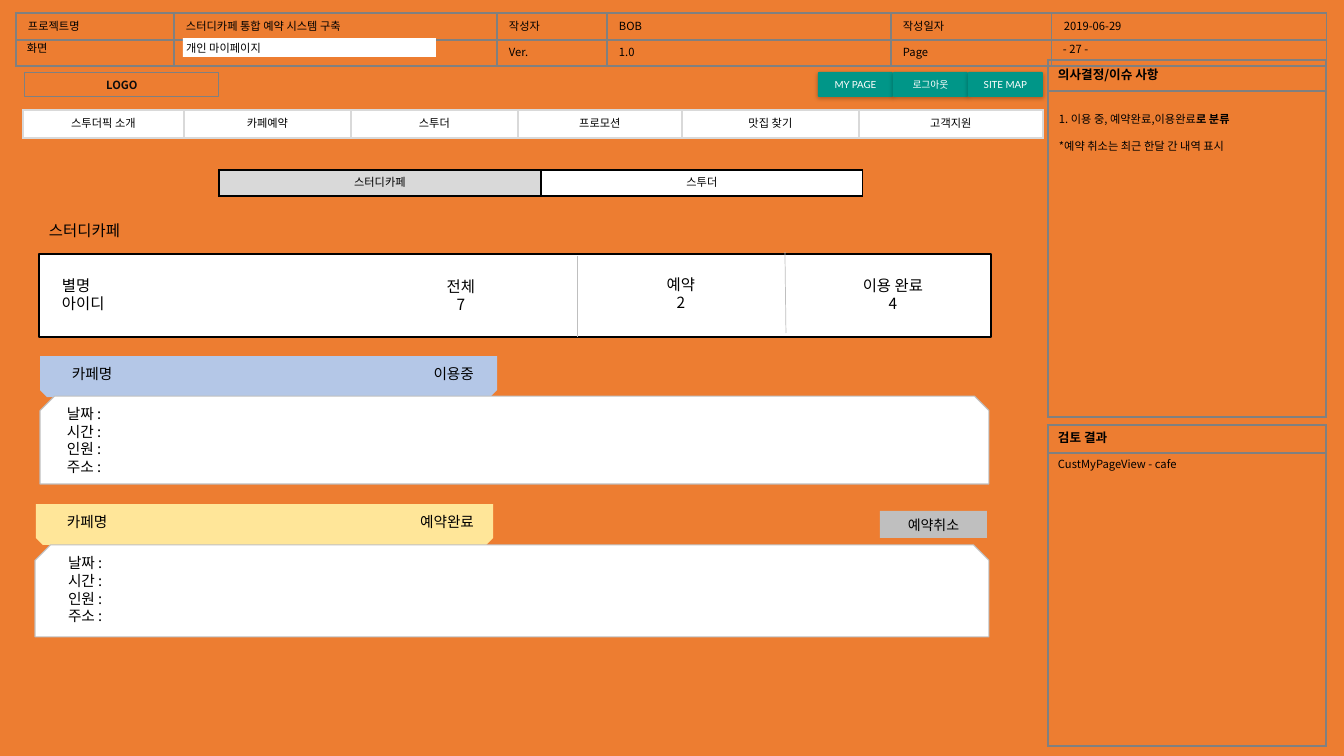
from dataclasses import dataclass

from lxml import etree
from pptx import Presentation
from pptx.dml.color import RGBColor
from pptx.enum.shapes import MSO_CONNECTOR, MSO_SHAPE
from pptx.enum.text import MSO_ANCHOR, MSO_AUTO_SIZE, PP_ALIGN
from pptx.oxml.ns import qn
from pptx.util import Emu, Pt

RECT = MSO_SHAPE.RECTANGLE
ROUNDED = MSO_SHAPE.ROUNDED_RECTANGLE
SNIPPED = MSO_SHAPE.SNIP_2_SAME_RECTANGLE
STRAIGHT = MSO_CONNECTOR.STRAIGHT
LEFT, CENTER, RIGHT = PP_ALIGN.LEFT, PP_ALIGN.CENTER, PP_ALIGN.RIGHT
TOP, MIDDLE = MSO_ANCHOR.TOP, MSO_ANCHOR.MIDDLE
NO_AUTOFIT = MSO_AUTO_SIZE.NONE
EMU_PER_PX = 12192000 / 1344


@dataclass(frozen=True)
class Theme:
    font: str = "Noto Sans CJK KR"
    button_font: str = "Lato"
    background: str = "ED7D31"
    ink: str = "000000"
    logo_ink: str = "0D0D0D"
    white: str = "FFFFFF"
    frame: str = "808080"
    silver: str = "BFBFBF"
    pale: str = "D9D9D9"
    teal: str = "009688"
    blue: str = "B4C7E7"
    yellow: str = "FFE699"
    tiny: float = 7
    small: float = 8
    heading: float = 9
    action: float = 10
    card: float = 10.5
    large: float = 11


T = Theme()


def px(n):
    return Emu(round(n * EMU_PER_PX))


def rgb(code):
    return RGBColor.from_string(code)


def write(tf, lines, size=T.small, color=T.ink, font=T.font, bold=False,
          align=LEFT, gap=0):
    for i, line in enumerate(lines):
        p = tf.paragraphs[0] if i == 0 else tf.add_paragraph()
        p.alignment = align
        p.line_spacing = Pt(size * 1.2)
        p.space_before = Pt(gap if i else 0)
        for text, strong in [(line, bold)] if isinstance(line, str) else line:
            r = p.add_run()
            r.text = text
            r.font.name = font
            r.font.size = Pt(size)
            r.font.bold = strong
            r.font.color.rgb = rgb(color)
            ea = etree.SubElement(r.font.fill._xPr, qn("a:ea"))
            ea.set("typeface", T.font)


def frame(tf, anchor=TOP, inset=(10, 5)):
    tf.word_wrap = True
    tf.auto_size = NO_AUTOFIT
    tf.vertical_anchor = anchor
    tf.margin_left = tf.margin_right = px(inset[0])
    tf.margin_top = tf.margin_bottom = px(inset[1])


def add_text(s, box, lines, **fmt):
    sp = s.shapes.add_textbox(*map(px, box))
    frame(sp.text_frame)
    write(sp.text_frame, lines, **fmt)


def add_box(s, kind, box, fill=None, line=None, width=1, lines=(), **fmt):
    sp = s.shapes.add_shape(kind, *map(px, box))
    sp.shadow.inherit = False
    if fill:
        sp.fill.solid()
        sp.fill.fore_color.rgb = rgb(fill)
    else:
        sp.fill.background()
    if line:
        sp.line.color.rgb = rgb(line)
        sp.line.width = Pt(width)
    else:
        sp.line.fill.background()
    if lines:
        frame(sp.text_frame, MIDDLE)
        write(sp.text_frame, lines, align=CENTER, **fmt)
    return sp


def add_divider(s, x1, y1, x2, y2):
    c = s.shapes.add_connector(STRAIGHT, *map(px, (x1, y1, x2, y2)))
    c.line.color.rgb = rgb(T.silver)
    c.line.width = Pt(0.5)
    etree.SubElement(c.element.spPr, qn("a:effectLst"))


def border_cell(cell, color):
    tcPr = cell._tc.get_or_add_tcPr()
    for i, side in enumerate(("lnL", "lnR", "lnT", "lnB")):
        ln = etree.Element(qn("a:" + side), w=str(Pt(1)))
        fill = etree.SubElement(ln, qn("a:solidFill"))
        etree.SubElement(fill, qn("a:srgbClr"), val=color)
        tcPr.insert(i, ln)


def add_grid(s, x, y, cols, rows, texts, line, fills=(), inset=10,
             anchors=(MIDDLE, MIDDLE), bolds=(False, False), sizes=(T.small, T.small),
             align=LEFT):
    box = map(px, (x, y, sum(cols), sum(rows)))
    table = s.shapes.add_table(len(rows), len(cols), *box).table
    table.first_row = table.horz_banding = False
    for column, width in zip(table.columns, cols):
        column.width = px(width)
    for i, height in enumerate(rows):
        table.rows[i].height = px(height)
        for j, text in enumerate(texts[i]):
            cell = table.cell(i, j)
            if fills:
                cell.fill.solid()
                cell.fill.fore_color.rgb = rgb(fills[j])
            else:
                cell.fill.background()
            border_cell(cell, line)
            cell.vertical_anchor = anchors[i]
            cell.margin_left = cell.margin_right = px(inset)
            cell.margin_top = cell.margin_bottom = px(5)
            if text:
                write(cell.text_frame, [text], size=sizes[i], bold=bolds[i], align=align)
            else:
                p = cell.text_frame.paragraphs[0]
                etree.SubElement(p._p, qn("a:endParaRPr"), sz=str(T.small * 100))


def place(sp, box):
    sp.left, sp.top, sp.width, sp.height = map(px, box)


def add_title(s):
    sp = s.shapes.title
    place(sp, (183, 38, 253, 19))
    sp.fill.solid()
    sp.fill.fore_color.rgb = rgb(T.white)
    frame(sp.text_frame, MIDDLE, (3, 0))
    write(sp.text_frame, ["개인 마이페이지"])
    sp.element.getparent().append(sp.element)


def add_issues(s):
    sp = s.placeholders[1]
    place(sp, (1049, 107, 264, 240))
    frame(sp.text_frame)
    write(sp.text_frame, [
        [("1. 이용 중, 예약완료,이용완료", False), ("로 분류", True)],
        "*예약 취소는 최근 한달 간 내역 표시",
    ], gap=9.6)
    for p in sp.text_frame.paragraphs:
        pPr = p._p.get_or_add_pPr()
        pPr.set("marL", "0")
        pPr.set("indent", "0")
        etree.SubElement(pPr, qn("a:buNone"))


def add_button(s, x, label):
    sp = add_box(s, ROUNDED, (x, 72, 75, 25), T.teal, lines=[label], size=T.tiny,
                 color=T.white, font=T.button_font)
    sp.adjustments[0] = 0.05
    shadow = etree.SubElement(sp.element.spPr.find(qn("a:effectLst")), qn("a:outerShdw"),
                              blurRad=str(Pt(3)), dist=str(Pt(1)), dir="5400000")
    color = etree.SubElement(shadow, qn("a:srgbClr"), val="000000")
    etree.SubElement(color, qn("a:alpha"), val="25000")


def add_card(s, tab_x, tab_y, panel, fill, name_x, detail_x, status):
    tab = add_box(s, SNIPPED, (tab_x, tab_y, 457, 41), fill)
    tab.rotation = 180
    add_box(s, SNIPPED, panel, T.white, T.silver, 0.75)
    add_text(s, (name_x, tab_y + 4, 190, 29), ["카페명"], size=T.card)
    add_text(s, (detail_x, panel[1] + 4, 371, 82),
             ["날짜 :", "시간 :", "인원 :", "주소 :"], size=T.card)
    add_text(s, (294, tab_y + 4, 190, 29), [status], size=T.card, align=RIGHT)


def add_summary(s):
    add_box(s, RECT, (39, 254, 952, 83), T.white, T.ink)
    add_text(s, (39, 216, 275, 29), ["스터디카페"], size=T.large)
    add_text(s, (52, 271, 203, 47), ["별명", "아이디"], size=T.large)
    counts = [(390, 272, "전체", "7"), (610, 270, "예약", "2"), (822, 271, "이용 완료", "4")]
    for x, y, label, count in counts:
        add_text(s, (x, y, 142, 47), [label, count], size=T.large, align=CENTER)
    add_divider(s, 577, 256, 577, 337)
    add_divider(s, 785, 252, 786, 333)


def main():
    prs = Presentation()
    prs.slide_width, prs.slide_height = px(1344), px(756)
    s = prs.slides.add_slide(prs.slide_layouts[1])
    s.background.fill.solid()
    s.background.fill.fore_color.rgb = rgb(T.background)

    add_grid(s, 16, 13, [158, 323, 110, 284, 161, 275], [27, 26], [
        ["프로젝트명", "스터디카페 통합 예약 시스템 구축", "작성자", "BOB", "작성일자", "2019-06-29"],
        ["", "", "Ver.", "1.0", "Page", ""],
    ], T.frame, inset=12)
    add_title(s)
    add_text(s, (17, 36, 60, 24), ["화면"])
    add_text(s, (1053, 37, 108, 24), ["- 27 -"])

    panels = [(60, [31, 326], "의사결정/이슈 사항", ""),
              (425, [28, 293], "검토 결과", "CustMyPageView - cafe")]
    for y, rows, heading, body in panels:
        add_grid(s, 1048, y, [278], rows, [[heading], [body]], T.frame,
                 anchors=(MIDDLE, TOP), bolds=(True, False), sizes=(T.heading, T.small))
    add_issues(s)

    add_box(s, RECT, (25, 73, 194, 24), line=T.frame, width=0.75, lines=["LOGO"],
            color=T.logo_ink, bold=True)
    for i, label in enumerate(["MY PAGE", "로그아웃", "SITE MAP"]):
        add_button(s, 818 + 75 * i, label)
    menu = ["스투더픽 소개", "카페예약", "스투더", "프로모션", "맛집 찾기", "고객지원"]
    add_grid(s, 23, 110, [161, 167, 167, 164, 177, 184], [28], [menu], T.pale,
             fills=[T.white] * len(menu), align=CENTER)
    add_grid(s, 219, 170, [322, 322], [26], [["스터디카페", "스투더"]], T.ink,
             fills=[T.pale, T.white], align=CENTER)

    add_summary(s)
    add_card(s, 40, 356, (40, 396, 949, 88), T.blue, 62, 57, "이용중")
    add_card(s, 36, 504, (35, 545, 954, 92), T.yellow, 57, 58, "예약완료")
    add_box(s, RECT, (880, 511, 107, 27), T.silver, lines=["예약취소"], size=T.action)
    prs.save("out.pptx")


if __name__ == "__main__":
    main()
